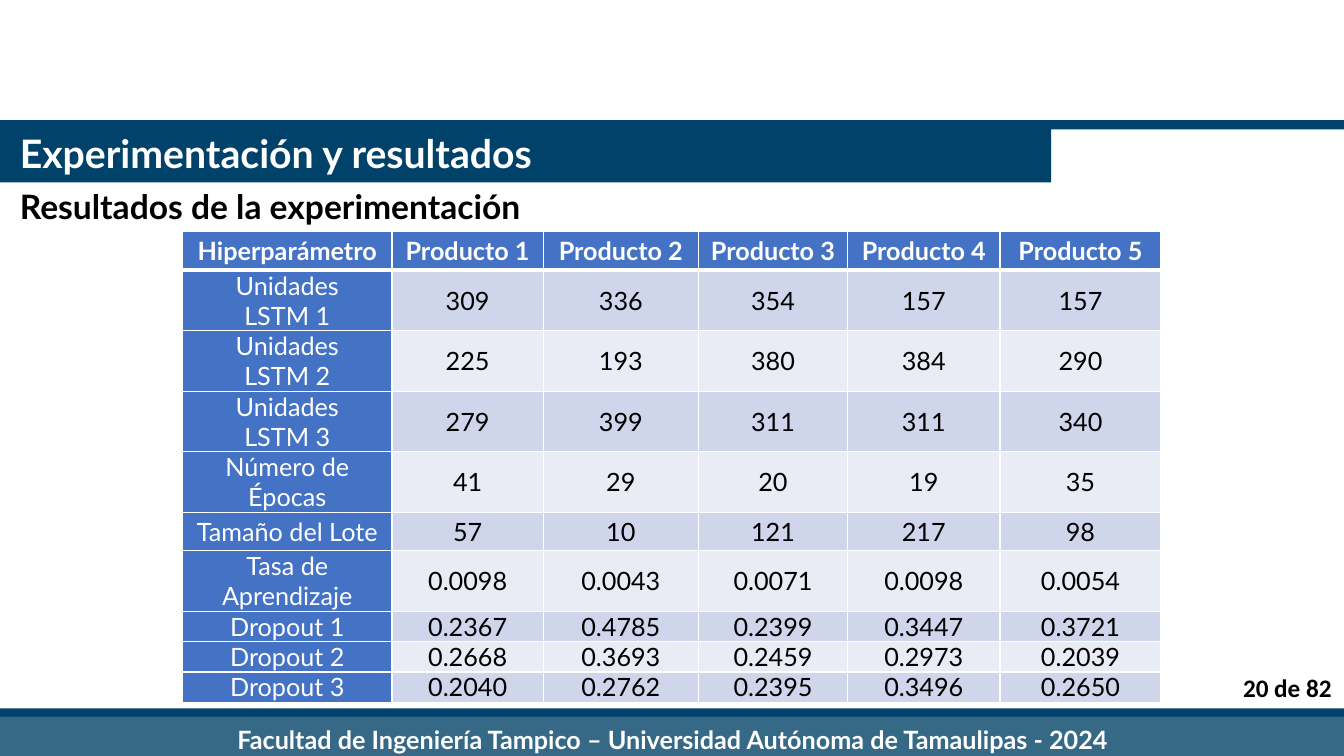
from lxml import etree
from pptx import Presentation
from pptx import util as u
from pptx.dml import color
from pptx.enum import shapes, text
from pptx.oxml import ns

COLOURS = {
    "navy": "00426A",
    "teal": "366986",
    "head": "4472C4",
    "odd": "CFD5EA",
    "even": "E9EBF5",
    "white": "FFFFFF",
    "black": "000000",
}
HEADINGS = ["Hiperparámetro"] + [f"Producto {number}" for number in range(1, 6)]
RESULTS = [
    ("Unidades\nLSTM 1", "309 336 354 157 157"),
    ("Unidades\nLSTM 2", "225 193 380 384 290"),
    ("Unidades\nLSTM 3", "279 399 311 311 340"),
    ("Número de Épocas", "41 29 20 19 35"),
    ("Tamaño del Lote", "57 10 121 217 98"),
    ("Tasa de Aprendizaje", "0.0098 0.0043 0.0071 0.0098 0.0054"),
    ("Dropout 1", "0.2367 0.4785 0.2399 0.3447 0.3721"),
    ("Dropout 2", "0.2668 0.3693 0.2459 0.2973 0.2039"),
    ("Dropout 3", "0.2040 0.2762 0.2395 0.3496 0.2650"),
]
COLUMN_WIDTHS = [5.28, 3.81, 3.91, 3.76, 3.84, 4.06]
ROW_HEIGHTS = [0.97] * 7 + [0.71, 0.66, 0.66]


def rgb(name):
    """Return the named colour."""
    return color.RGBColor.from_string(COLOURS[name])


def write(frame, wording, size, colour, bold=True, align="LEFT", font="Lato"):
    """Fill a text frame with one paragraph for each line of wording."""
    for index, line in enumerate(wording.split("\n")):
        para = frame.add_paragraph() if index else frame.paragraphs[0]
        para.alignment = getattr(text.PP_ALIGN, align)
        span = para.add_run()
        span.text = line
        span.font.name = font
        span.font.size = u.Pt(size)
        span.font.bold = bold
        span.font.color.rgb = rgb(colour)


def add_bar(page, place, colour, kind="RECTANGLE"):
    """Draw a plain filled bar."""
    box = page.shapes.add_shape(
        getattr(shapes.MSO_SHAPE, kind), *[u.Cm(length) for length in place])
    box.shadow.inherit = False
    box.fill.solid()
    box.fill.fore_color.rgb = rgb(colour)
    box.line.fill.background()
    return box


def add_label(page, place, wording, size, colour, anchor="TOP", **style):
    """Place a wrapped text box."""
    box = page.shapes.add_textbox(*[u.Cm(length) for length in place])
    frame = box.text_frame
    frame.word_wrap = True
    frame.vertical_anchor = getattr(text.MSO_ANCHOR, anchor)
    write(frame, wording, size, colour, **style)


def add_borders(cell, bottom):
    """Give a cell white borders, with its own bottom width in points."""
    properties = cell._tc.get_or_add_tcPr()
    widths = {"lnL": 1, "lnR": 1, "lnT": 1, "lnB": bottom}
    for position, (side, width) in enumerate(widths.items()):
        line = etree.Element(ns.qn(f"a:{side}"), w=str(u.Pt(width)))
        fill = etree.SubElement(line, ns.qn("a:solidFill"))
        etree.SubElement(fill, ns.qn("a:srgbClr"), val=COLOURS["white"])
        properties.insert(position, line)


def fill_cell(cell, wording, row, column):
    """Write and style one table cell according to its row and column."""
    heading = row == 0 or column == 0
    cell.margin_left = cell.margin_right = u.Cm(0.13)
    cell.margin_top = cell.margin_bottom = 0
    cell.vertical_anchor = text.MSO_ANCHOR.TOP if "\n" in wording else text.MSO_ANCHOR.MIDDLE
    cell.fill.solid()
    cell.fill.fore_color.rgb = rgb("head" if heading else "odd" if row % 2 else "even")
    write(cell.text_frame, wording, 18, "white" if heading else "black",
          bold=row == 0, align="CENTER")
    add_borders(cell, 1 if row else 3)


def add_results(page):
    """Build the table of hyperparameters by product."""
    rows = [HEADINGS] + [[name, *values.split()] for name, values in RESULTS]
    place = [u.Cm(length) for length in (4.6, 5.84, 24.66, 11.84)]
    table = page.shapes.add_table(len(rows), len(HEADINGS), *place).table
    for column, width in zip(table.columns, COLUMN_WIDTHS):
        column.width = u.Cm(width)
    for line, height in zip(table.rows, ROW_HEIGHTS):
        line.height = u.Cm(height)
    for row, wordings in enumerate(rows):
        for column, wording in enumerate(wordings):
            fill_cell(table.cell(row, column), wording, row, column)


def main():
    """Build the slide and save it."""
    deck = Presentation()
    deck.slide_width, deck.slide_height = u.Cm(33.87), u.Cm(19.05)
    page = deck.slides.add_slide(deck.slide_layouts[6])
    for left, top in ((-0.05, 17.85), (-0.03, 3.03)):
        add_bar(page, (left, top, 33.96, 0.23), "navy", "FLOWCHART_ALTERNATE_PROCESS")
    footer = add_bar(page, (-0.03, 18.06, 33.96, 1.17), "teal")
    footer.text_frame.vertical_anchor = text.MSO_ANCHOR.MIDDLE
    write(footer.text_frame,
          "Facultad de Ingeniería Tampico – Universidad Autónoma de Tamaulipas - 2024",
          18, "white", align="CENTER")
    add_label(page, (30.1, 16.81, 3.71, 1.02), "20 de 82", 18, "black",
              align="RIGHT", font="Calibri")
    add_bar(page, (0, 3.23, 26.49, 1.37), "navy")
    add_label(page, (0.25, 3.35, 25.96, 1.02), "Experimentación y resultados",
              28, "white", anchor="MIDDLE")
    add_label(page, (0.25, 4.57, 17.02, 1.27), "Resultados de la experimentación", 24, "black")
    add_results(page)
    deck.save("out.pptx")


if __name__ == "__main__":
    main()
